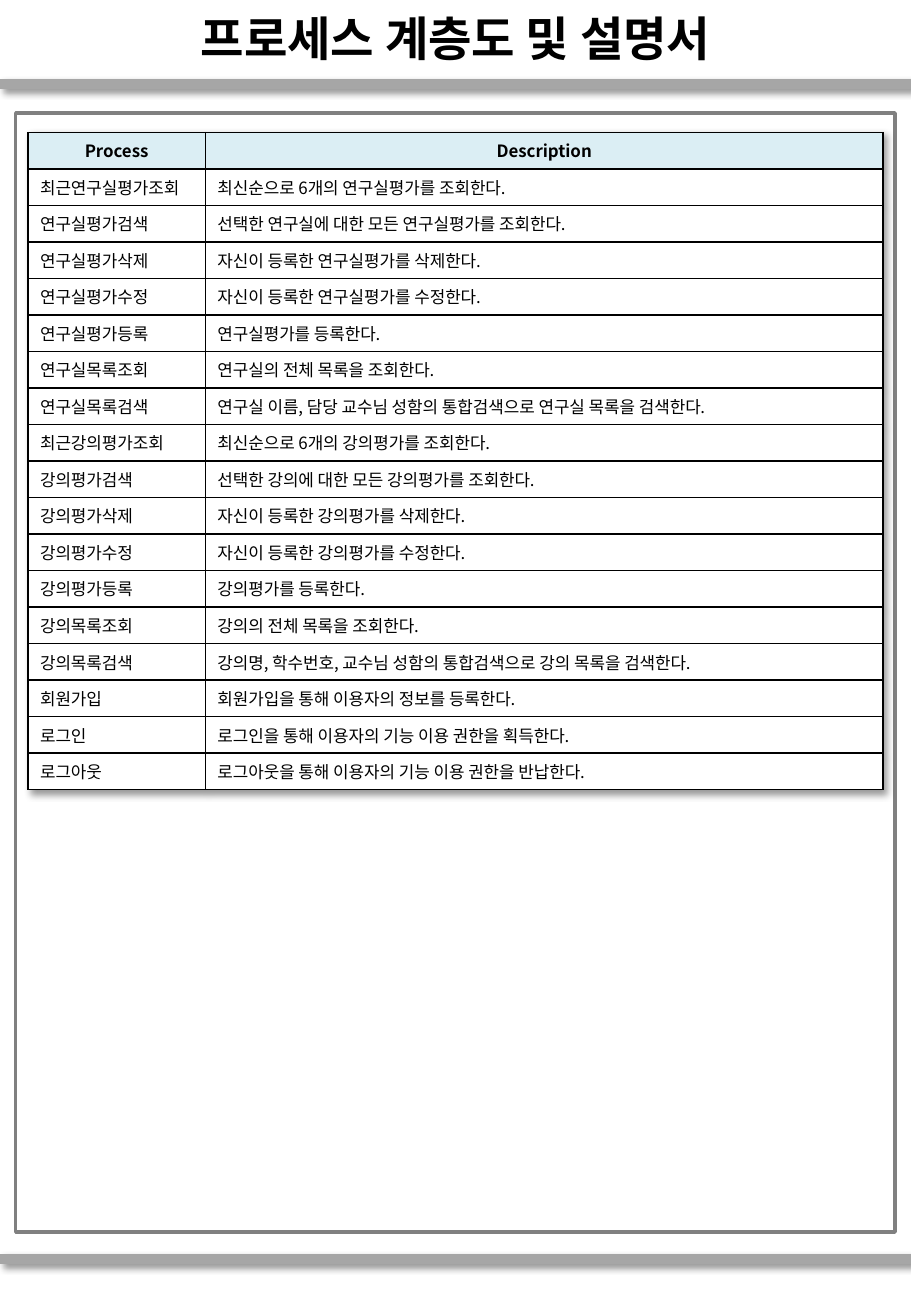
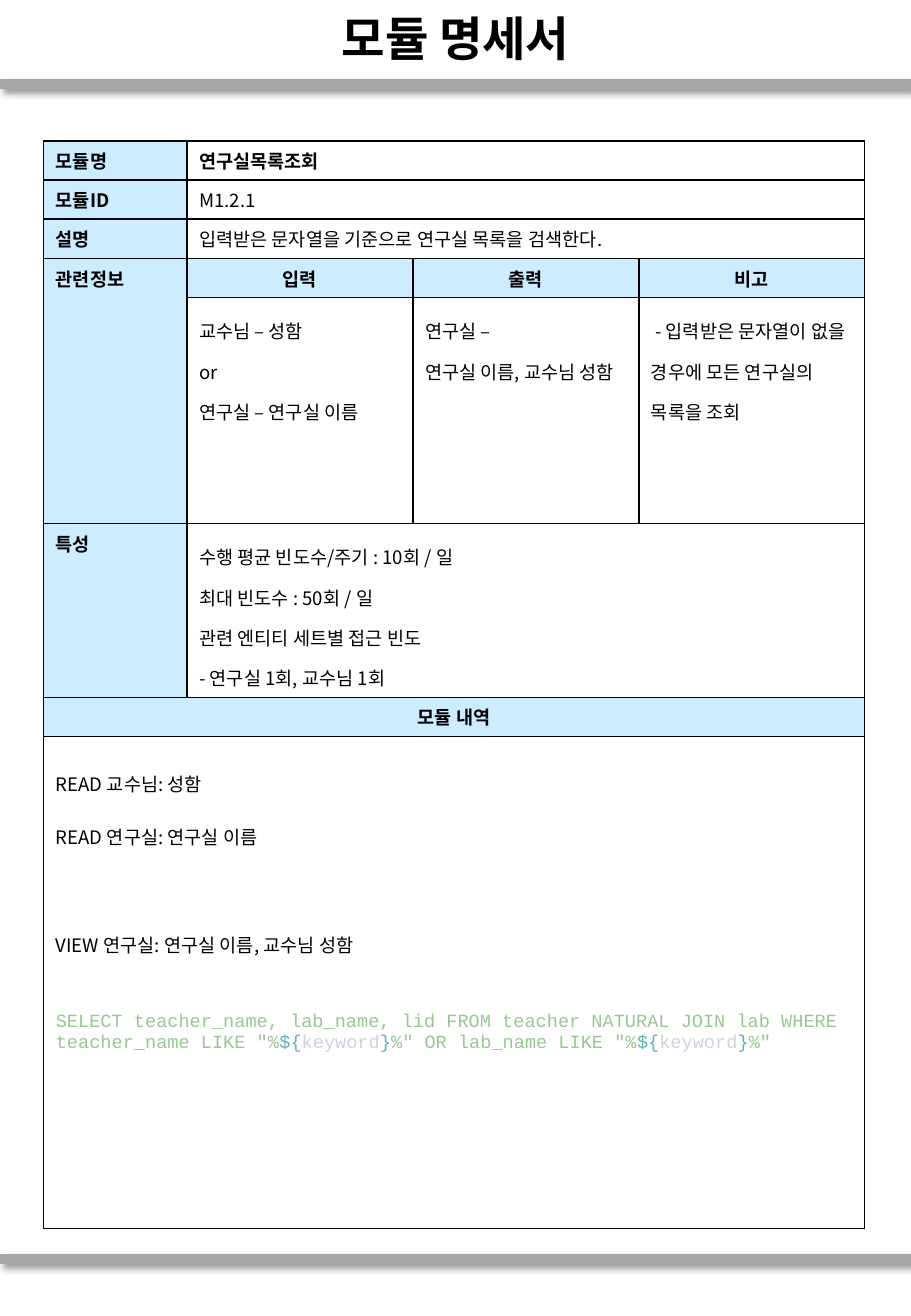
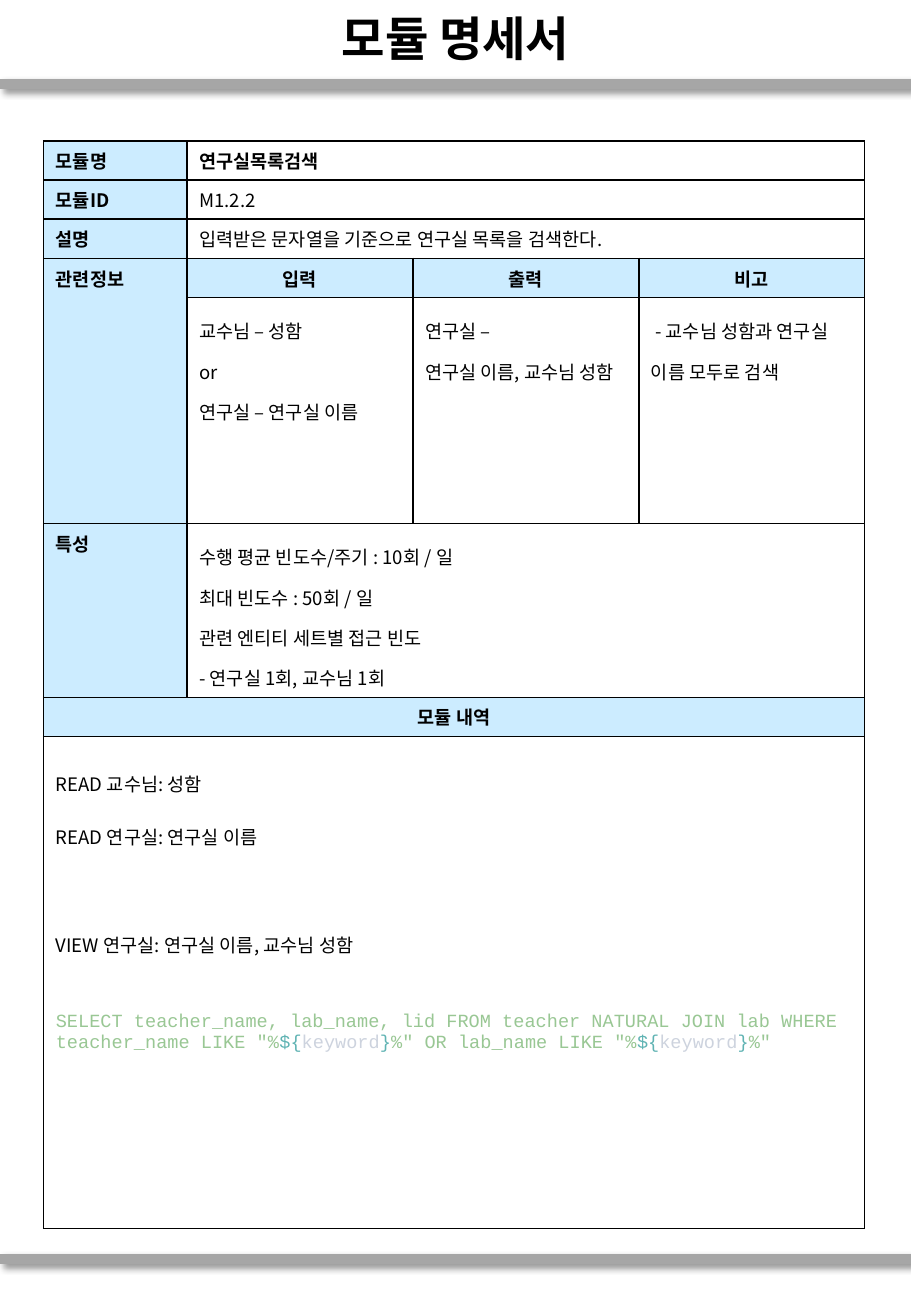
from lxml import etree
from pptx import Presentation
from pptx.dml.color import RGBColor
from pptx.enum.shapes import MSO_CONNECTOR, MSO_SHAPE
from pptx.enum.text import MSO_ANCHOR, MSO_AUTO_SIZE, PP_ALIGN
from pptx.oxml import parse_xml
from pptx.oxml.ns import qn
from pptx.util import Inches, Pt

LINE = MSO_CONNECTOR.STRAIGHT
RECT = MSO_SHAPE.RECTANGLE
MIDDLE = MSO_ANCHOR.MIDDLE
NO_FIT = MSO_AUTO_SIZE.NONE
CENTER = PP_ALIGN.CENTER
LEFT = PP_ALIGN.LEFT

WIDE, HIGH = 7.5, 10.83
SANS, MONO = "Noto Sans CJK KR", "Courier New"
BLACK, WHITE = "000000", "FFFFFF"
BAND, EDGE = "A6A6A6", "808080"
HEAD, LABEL = "DBEEF4", "CCECFF"
GREEN, TEAL, PALE = "99C794", "5FB3B3", "CDD3DE"
XMLNS = 'xmlns:a="http://schemas.openxmlformats.org/drawingml/2006/main"'

STEPS = [
    ("최근연구실평가조회", "최신순으로 6개의 연구실평가를 조회한다."),
    ("연구실평가검색", "선택한 연구실에 대한 모든 연구실평가를 조회한다."),
    ("연구실평가삭제", "자신이 등록한 연구실평가를 삭제한다."),
    ("연구실평가수정", "자신이 등록한 연구실평가를 수정한다."),
    ("연구실평가등록", "연구실평가를 등록한다."),
    ("연구실목록조회", "연구실의 전체 목록을 조회한다."),
    ("연구실목록검색", "연구실 이름, 담당 교수님 성함의 통합검색으로 연구실 목록을 검색한다."),
    ("최근강의평가조회", "최신순으로 6개의 강의평가를 조회한다."),
    ("강의평가검색", "선택한 강의에 대한 모든 강의평가를 조회한다."),
    ("강의평가삭제", "자신이 등록한 강의평가를 삭제한다."),
    ("강의평가수정", "자신이 등록한 강의평가를 수정한다."),
    ("강의평가등록", "강의평가를 등록한다."),
    ("강의목록조회", "강의의 전체 목록을 조회한다."),
    ("강의목록검색", "강의명, 학수번호, 교수님 성함의 통합검색으로 강의 목록을 검색한다."),
    ("회원가입", "회원가입을 통해 이용자의 정보를 등록한다."),
    ("로그인", "로그인을 통해 이용자의 기능 이용 권한을 획득한다."),
    ("로그아웃", "로그아웃을 통해 이용자의 기능 이용 권한을 반납한다."),
]

KEY = [("${", TEAL), ("keyword", PALE), ("}", TEAL)]
QUERY = [
    ('SELECT teacher_name, lab_name, lid FROM teacher NATURAL JOIN lab '
     'WHERE teacher_name LIKE "%', GREEN),
    *KEY,
    ('%" OR lab_name LIKE "%', GREEN),
    *KEY,
    ('%"', GREEN),
]

MODULES = [
    ("연구실목록조회", "M1.2.1", " - 입력받은 문자열이 없을 경우에 모든 연구실의 목록을 조회"),
    ("연구실목록검색", "M1.2.2", " - 교수님 성함과 연구실 이름 모두로 검색"),
]


def hue(code):
    return RGBColor.from_string(code)


def paint(fill, code):
    fill.solid()
    fill.fore_color.rgb = hue(code)


def style(run, size, bold=False, code=BLACK, face=SANS):
    font = run.font
    font.size, font.bold, font.name = Pt(size), bold, face
    font.color.rgb = hue(code)
    east = etree.SubElement(run._r.get_or_add_rPr(), qn("a:ea"))
    east.set("typeface", face)


def shade():
    return parse_xml(
        f'<a:effectLst {XMLNS}><a:outerShdw blurRad="{Pt(4)}" dist="{Pt(3)}" '
        f'dir="2700000" algn="tl" rotWithShape="0"><a:srgbClr val="{BLACK}">'
        '<a:alpha val="40000"/></a:srgbClr></a:outerShdw></a:effectLst>')


def add_bands(slide):
    base = slide.slide_layout.shapes.element
    for top in (0.69, 10.36):
        band = slide.shapes.add_connector(
            LINE, 0, Inches(top), Inches(WIDE), Inches(top))
        band.line.color.rgb = hue(BAND)
        band.line.width = Pt(6)
        band.element.spPr.append(shade())
        base.append(band.element)


def add_page(deck, text):
    slide = deck.slides.add_slide(deck.slide_layouts[5])
    title = slide.shapes.title
    title.left, title.top = 0, Inches(0.01)
    title.width, title.height = Inches(WIDE), Inches(0.6)
    frame = title.text_frame
    frame.text = text
    frame.auto_size = NO_FIT
    frame.vertical_anchor = MIDDLE
    line = frame.paragraphs[0]
    line.alignment = CENTER
    style(line.runs[0], 28, True)
    return slide


def add_panel(slide):
    panel = slide.shapes.add_shape(
        RECT, Inches(0.13), Inches(0.93), Inches(7.24), Inches(9.21))
    panel.shadow.inherit = False
    paint(panel.fill, WHITE)
    panel.line.color.rgb = hue(EDGE)
    panel.line.width = Pt(2)


def add_border(cell):
    props = cell._tc.get_or_add_tcPr()
    for side in "LRTB":
        props.append(parse_xml(
            f'<a:ln{side} {XMLNS} w="{Pt(1)}"><a:solidFill>'
            f'<a:srgbClr val="{BLACK}"/></a:solidFill></a:ln{side}>'))


def add_grid(slide, left, top, cols, rows):
    frame = slide.shapes.add_table(
        len(rows), len(cols), Inches(left), Inches(top),
        Inches(sum(cols)), Inches(sum(rows)))
    grid = frame.table
    grid.first_row = grid.horz_banding = False
    for col, width in zip(grid.columns, cols):
        col.width = Inches(width)
    for row, height in zip(grid.rows, rows):
        row.height = Inches(height)
    for cell in grid.iter_cells():
        add_border(cell)
        paint(cell.fill, WHITE)
    return grid


def write(cell, text, size=11, bold=False, align=LEFT, fill=WHITE, space=1.0):
    cell.text = text
    paint(cell.fill, fill)
    for line in cell.text_frame.paragraphs:
        line.alignment = align
        line.line_spacing = space
        for run in line.runs:
            style(run, size, bold)


def add_steps(slide):
    grid = add_grid(slide, 0.23, 1.09, [1.46, 5.58], [0.3] * (len(STEPS) + 1))
    grid._tbl.tblPr.insert(0, shade())
    for col, text in enumerate(("Process", "Description")):
        write(grid.cell(0, col), text, 10, True, CENTER, HEAD)
    for row, step in enumerate(STEPS, 1):
        for col, text in enumerate(step):
            write(grid.cell(row, col), text, 10)


def add_detail(cell):
    write(cell, "READ 교수님: 성함\nREAD 연구실: 연구실 이름\n"
                "VIEW 연구실: 연구실 이름, 교수님 성함", space=2.0)
    frame = cell.text_frame
    query = frame.add_paragraph()
    for line in (frame.paragraphs[2], query):
        line.space_before = Pt(32)
    for text, code in QUERY:
        run = query.add_run()
        run.text = text
        style(run, 11, False, code, MONO)


def add_module(slide, name, code, note):
    grid = add_grid(slide, 0.36, 1.16, [1.18] + [1.86] * 3,
                    [0.32] * 4 + [1.86, 1.43, 0.32, 4.05])
    cell = grid.cell
    for row in (0, 1, 2, 5):
        cell(row, 1).merge(cell(row, 3))
    for row in (6, 7):
        cell(row, 0).merge(cell(row, 3))
    cell(3, 0).merge(cell(4, 0))

    labels = ("모듈명", "모듈ID", "설명", "관련정보", None, "특성")
    for row, text in enumerate(labels):
        if text:
            write(cell(row, 0), text, bold=True, fill=LABEL)
    write(cell(0, 1), name, bold=True)
    write(cell(1, 1), code)
    write(cell(2, 1), "입력받은 문자열을 기준으로 연구실 목록을 검색한다.")

    links = [
        ("입력", "교수님 – 성함\nor\n연구실 – 연구실 이름"),
        ("출력", "연구실 –\n연구실 이름, 교수님 성함"),
        ("비고", note),
    ]
    for col, (head, body) in enumerate(links, 1):
        write(cell(3, col), head, bold=True, align=CENTER, fill=LABEL)
        write(cell(4, col), body, space=1.5)
    write(cell(5, 1), "수행 평균 빈도수/주기 : 10회 / 일\n최대 빈도수 : 50회 / 일\n"
                      "관련 엔티티 세트별 접근 빈도\n- 연구실 1회, 교수님 1회", space=1.5)
    write(cell(6, 0), "모듈 내역", bold=True, align=CENTER, fill=LABEL)
    add_detail(cell(7, 0))


def main():
    deck = Presentation()
    deck.slide_width, deck.slide_height = Inches(WIDE), Inches(HIGH)
    first = add_page(deck, "프로세스 계층도 및 설명서")
    add_bands(first)
    add_panel(first)
    add_steps(first)
    for module in MODULES:
        add_module(add_page(deck, "모듈 명세서"), *module)
    deck.save("out.pptx")


if __name__ == "__main__":
    main()
